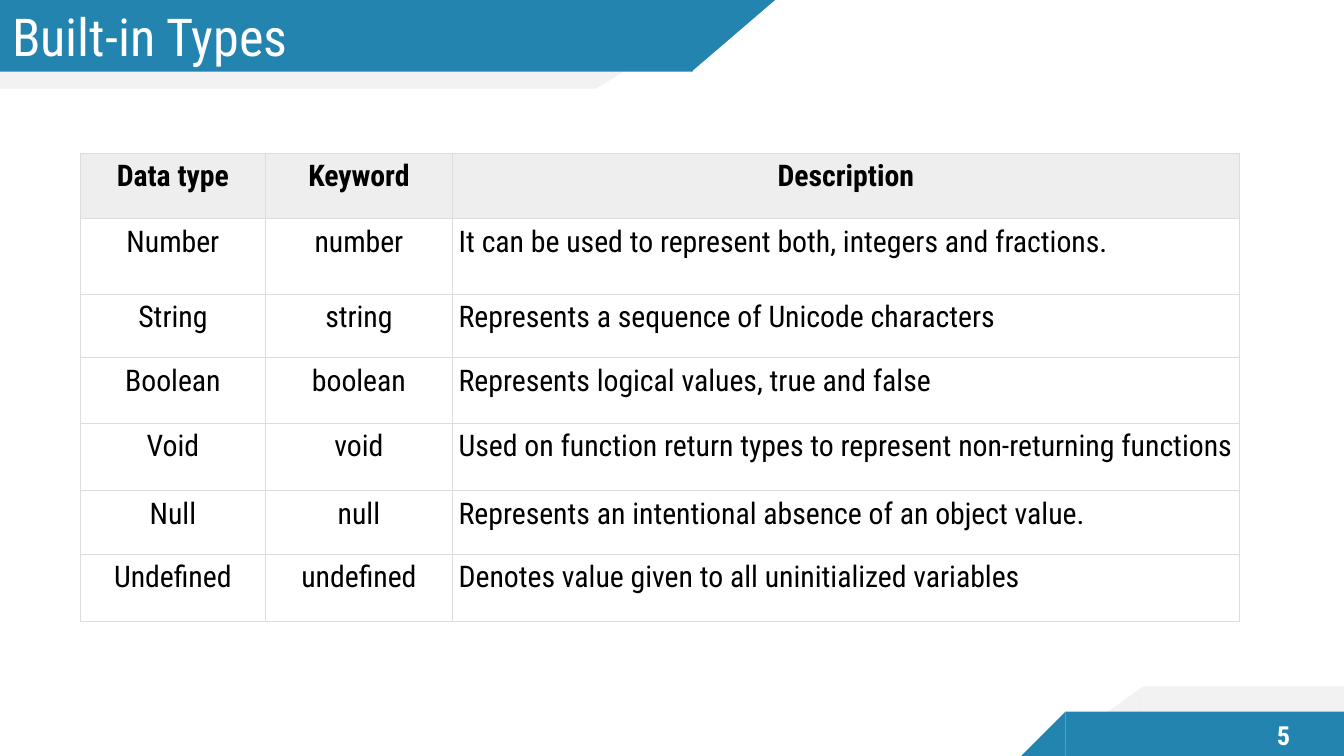
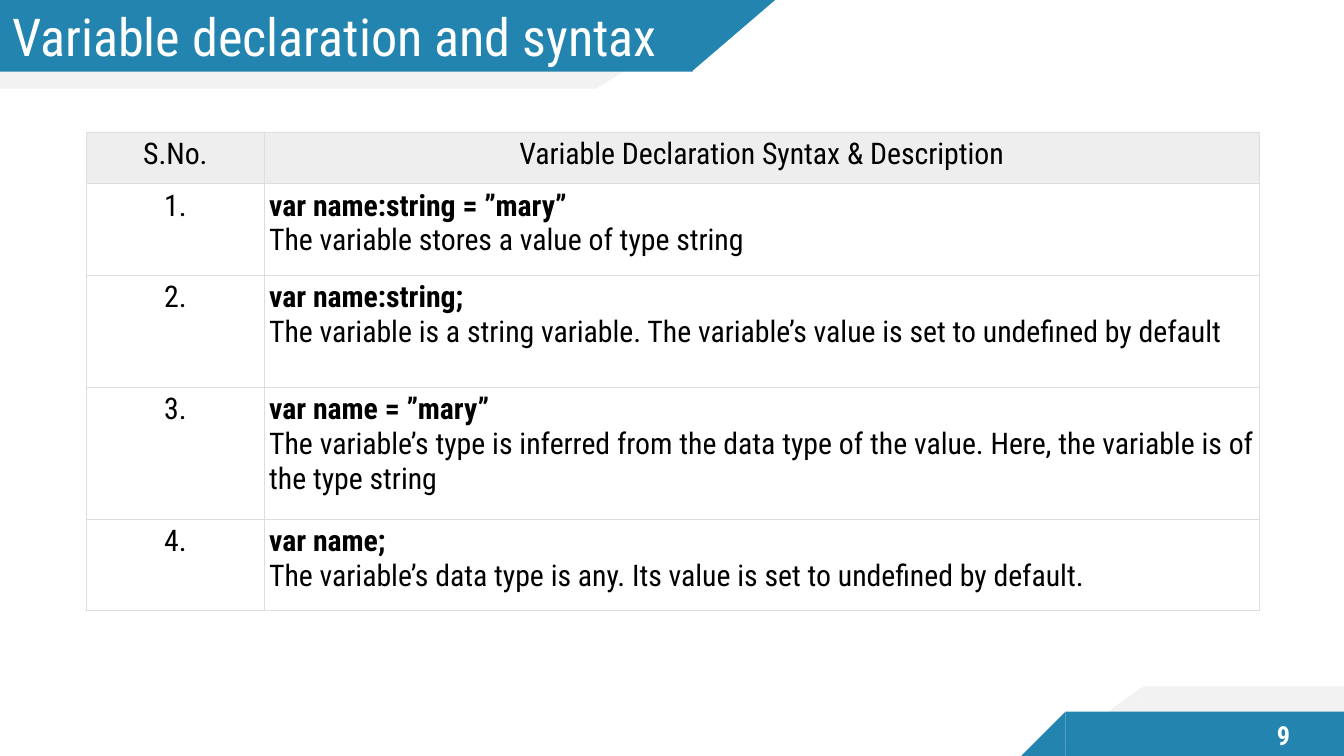
from lxml.etree import SubElement
from pptx import Presentation
from pptx.dml.color import RGBColor
from pptx.enum.shapes import MSO_SHAPE as Shape
from pptx.enum.text import MSO_ANCHOR as Anchor, MSO_AUTO_SIZE as Auto, PP_ALIGN as Align
from pptx.oxml.ns import qn
from pptx.util import Inches, Pt

BLUE = RGBColor(0x23, 0x84, 0xAF)
PALE = RGBColor(0xF2, 0xF2, 0xF2)
HEAD = RGBColor(0xEE, 0xEE, 0xEE)
RULE = RGBColor(0xDD, 0xDD, 0xDD)
WHITE = RGBColor(0xFF, 0xFF, 0xFF)
BLACK = RGBColor(0, 0, 0)
FONT = "Roboto Condensed"

# Band parts: preset, left, top, width, height, colour, flip
BANDS = [
    (Shape.RECTANGLE, 0, -0.01, 5.92, 0.89, PALE, "flipV"),
    (Shape.RIGHT_TRIANGLE, 5.91, -0.01, 1.45, 0.89, PALE, "flipV"),
    (Shape.RECTANGLE, 0, -0.01, 6.87, 0.72, BLUE, "flipV"),
    (Shape.RIGHT_TRIANGLE, 6.86, -0.01, 0.84, 0.72, BLUE, "flipV"),
    (Shape.RECTANGLE, 11.34, 6.81, 2, 0.69, PALE, "flipH"),
    (Shape.RIGHT_TRIANGLE, 10.36, 6.81, 0.98, 0.69, PALE, "flipH"),
    (Shape.RECTANGLE, 10.57, 7.06, 2.77, 0.44, BLUE, "flipH"),
    (Shape.RIGHT_TRIANGLE, 10.13, 7.06, 0.44, 0.44, BLUE, "flipH"),
]

# In a cell of two lines, the first is code and is set in bold
PAGES = [
    dict(
        title="Built-in Types", number="5", left=0.8, top=1.52, pad=0.06,
        cols=[1.83, 1.86, 7.8], heights=[0.65, 0.75, 0.63, 0.65, 0.67, 0.63, 0.67],
        strong=True, align=Align.LEFT,
        rows=[
            ("Data type", "Keyword", "Description"),
            ("Number", "number", "It can be used to represent both, integers and fractions."),
            ("String", "string", "Represents a sequence of Unicode characters"),
            ("Boolean", "boolean", "Represents logical values, true and false"),
            ("Void", "void", "Used on function return types to represent non-returning functions"),
            ("Null", "null", "Represents an intentional absence of an object value."),
            ("Undefined", "undefined", "Denotes value given to all uninitialized variables"),
        ],
    ),
    dict(
        title="Variable declaration and syntax", number="9", left=0.86, top=1.31, pad=0.05,
        cols=[1.76, 9.87], heights=[0.51, 0.91, 1.11, 1.31, 0.91],
        strong=False, align=Align.JUSTIFY,
        rows=[
            ("S.No.", "Variable Declaration Syntax & Description"),
            ("1.", "var name:string = ”mary”\nThe variable stores a value of type string"),
            ("2.", "var name:string;\nThe variable is a string variable. "
                   "The variable’s value is set to undefined by default"),
            ("3.", "var name = ”mary”\nThe variable’s type is inferred from the data type "
                   "of the value. Here, the variable is of the type string"),
            ("4.", "var name;\nThe variable’s data type is any. "
                   "Its value is set to undefined by default."),
        ],
    ),
]


def style(para, size, color, align, bold=False):
    """Set the font and alignment of one paragraph."""
    para.alignment = align
    font = para.font
    font.name, font.size, font.bold = FONT, Pt(size), bold
    font.color.rgb = color


def border(cell):
    """Draw a thin grey line on all four sides of a cell."""
    props = cell._tc.get_or_add_tcPr()
    for side in ("a:lnL", "a:lnR", "a:lnT", "a:lnB"):
        line = SubElement(props, qn(side), w=str(Pt(0.75)))
        fill = SubElement(line, qn("a:solidFill"))
        SubElement(fill, qn("a:srgbClr"), val=str(RULE))


prs = Presentation()
prs.slide_width, prs.slide_height = Inches(13.33), Inches(7.5)
layout = prs.slide_layouts[5]
slides = [prs.slides.add_slide(layout) for page in PAGES]

# Shared bands: drawn once, then moved to the layout behind its placeholders
for order, (kind, left, top, width, height, color, flip) in enumerate(BANDS):
    band = slides[0].shapes.add_shape(
        kind, Inches(left), Inches(top), Inches(width), Inches(height))
    band.shadow.inherit = False
    band.fill.solid()
    band.fill.fore_color.rgb = color
    band.line.fill.background()
    band.element.spPr.find(qn("a:xfrm")).set(flip, "1")
    layout.shapes.element.insert(2 + order, band.element)

for slide, page in zip(slides, PAGES):
    title = slide.shapes.title
    title.left, title.top = Inches(0), Inches(0.04)
    title.width, title.height = Inches(7.36), Inches(0.63)
    frame = title.text_frame
    frame.text = page["title"]
    frame.margin_left = Inches(0.12)
    frame.margin_top = frame.margin_right = frame.margin_bottom = 0
    frame.vertical_anchor = Anchor.MIDDLE
    frame.word_wrap = True
    frame.auto_size = Auto.SHAPE_TO_FIT_TEXT
    style(frame.paragraphs[0], 37.3, WHITE, Align.LEFT)

    number = slide.shapes.add_textbox(Inches(12.29), Inches(7.07), Inches(0.88), Inches(0.45))
    frame = number.text_frame
    frame.text = page["number"]
    frame.margin_left = frame.margin_right = Inches(0.1)
    frame.margin_top = frame.margin_bottom = Inches(0.1)
    frame.vertical_anchor = Anchor.MIDDLE
    frame.word_wrap = True
    style(frame.paragraphs[0], 18.7, WHITE, Align.CENTER, True)

    rows, cols, heights = page["rows"], page["cols"], page["heights"]
    table = slide.shapes.add_table(
        len(rows), len(cols), Inches(page["left"]), Inches(page["top"]),
        Inches(sum(cols)), Inches(sum(heights))).table
    table.first_row = table.horz_banding = False
    for col, width in zip(table.columns, cols):
        col.width = Inches(width)
    for row, height in zip(table.rows, heights):
        row.height = Inches(height)

    for r, row in enumerate(rows):
        for c, text in enumerate(row):
            cell = table.cell(r, c)
            cell.text = text
            cell.margin_left = cell.margin_right = Inches(page["pad"])
            cell.margin_top = cell.margin_bottom = Inches(page["pad"])
            border(cell)
            if r == 0:
                cell.fill.solid()
                cell.fill.fore_color.rgb = HEAD
            else:
                cell.fill.background()
            last = c == len(cols) - 1
            align = page["align"] if r and last else Align.CENTER
            paras = cell.text_frame.paragraphs
            for p, para in enumerate(paras):
                code = len(paras) > 1 and p == 0
                style(para, 21.3, BLACK, align, code or (r == 0 and page["strong"]))

prs.save("out.pptx")
